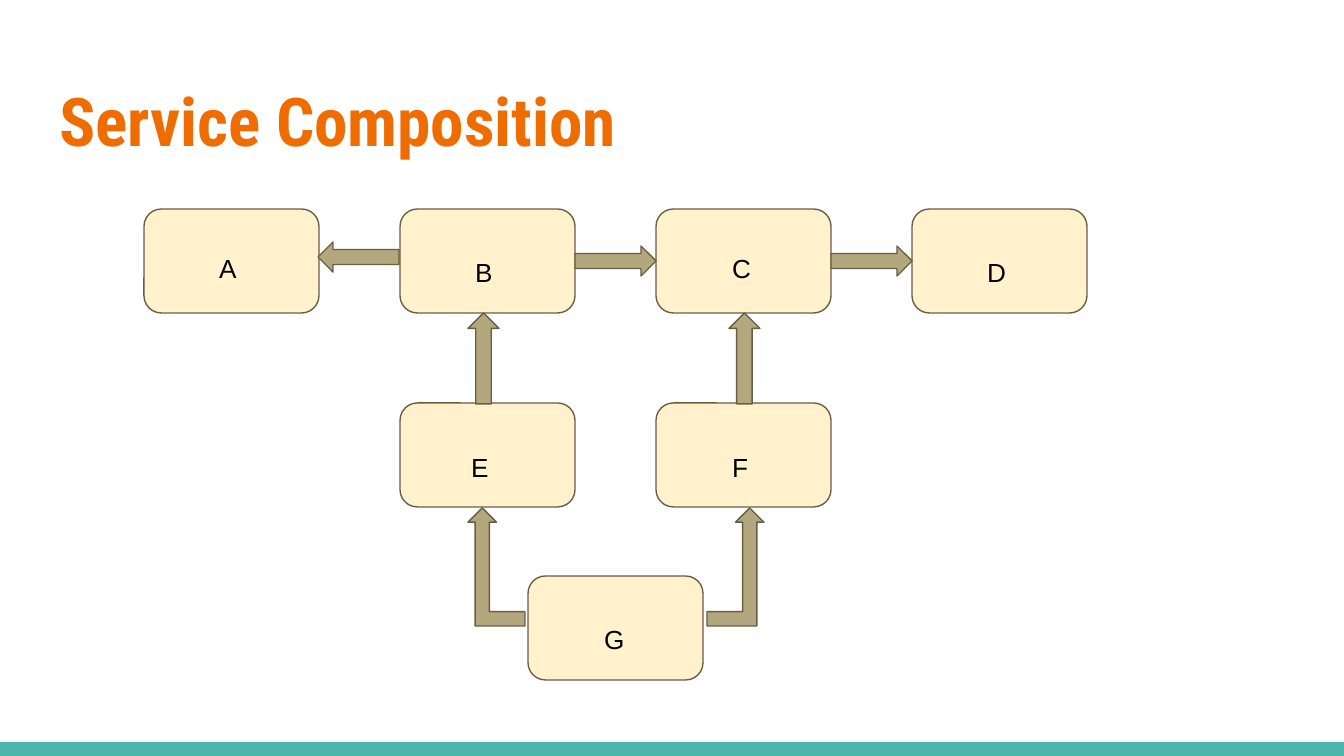
import dataclasses

import pptx
import pptx.dml.color
import pptx.enum.shapes
import pptx.enum.text
import pptx.util

RGB = pptx.dml.color.RGBColor
KIND = pptx.enum.shapes.MSO_SHAPE
ALIGN = pptx.enum.text.PP_ALIGN
ORANGE = RGB(0xEF, 0x6C, 0x00)
TEAL = RGB(0x4D, 0xB6, 0xAC)
CREAM = RGB(0xFF, 0xF2, 0xCC)
KHAKI = RGB(0xB3, 0xA7, 0x7D)
BROWN = RGB(0x69, 0x5D, 0x46)
BLACK = RGB(0, 0, 0)
SCALE = 914400 / 134.4
COLS = [144 + 256 * i for i in range(4)]
ROWS = [209, 403, 576]
MID = (COLS[1] + COLS[2]) // 2
BOX_W, BOX_H = 175, 104


@dataclasses.dataclass
class Node:
    name: str
    left: int
    top: int
    text_x: int
    text_y: int


@dataclasses.dataclass
class Arrow:
    kind: KIND
    left: int
    top: int
    width: int
    height: int
    flip: bool = False


NODES = [
    Node("A", COLS[0], ROWS[0], 206, 239),
    Node("B", COLS[1], ROWS[0], 462, 243),
    Node("C", COLS[2], ROWS[0], 719, 239),
    Node("D", COLS[3], ROWS[0], 974, 243),
    Node("E", COLS[1], ROWS[1], 458, 438),
    Node("F", COLS[2], ROWS[1], 719, 438),
    Node("G", MID, ROWS[2], 591, 610),
]
ARROWS = [
    Arrow(KIND.BENT_UP_ARROW, 707, 508, 57, 118),
    Arrow(KIND.BENT_UP_ARROW, 468, 508, 57, 118, flip=True),
    Arrow(KIND.LEFT_ARROW, 318, 242, 81, 30),
    Arrow(KIND.UP_ARROW, 468, 313, 31, 91),
    Arrow(KIND.UP_ARROW, 729, 313, 31, 91),
    Arrow(KIND.RIGHT_ARROW, 575, 246, 81, 30),
    Arrow(KIND.RIGHT_ARROW, 831, 246, 81, 30),
]


def px(size: float) -> int:
    return round(size * SCALE)


def add_form(slide, kind, left, top, width, height, fill, line=None):
    form = slide.shapes.add_shape(kind, px(left), px(top), px(width), px(height))
    form.shadow.inherit = False
    form.fill.solid()
    form.fill.fore_color.rgb = fill
    if line is None:
        form.line.fill.background()
    else:
        form.line.color.rgb = line
        form.line.width = pptx.util.Pt(0.75)
    return form


def put_text(shape, text: str, *, size: int, font: str, color: RGB, bold: bool = False) -> None:
    frame = shape.text_frame
    frame.word_wrap = True
    frame.auto_size = pptx.enum.text.MSO_AUTO_SIZE.NONE
    frame.vertical_anchor = pptx.enum.text.MSO_ANCHOR.TOP
    frame.margin_left = frame.margin_right = pptx.util.Inches(0.1)
    frame.margin_top = frame.margin_bottom = pptx.util.Inches(0.1)
    para = frame.paragraphs[0]
    para.alignment = ALIGN.LEFT
    run = para.add_run()
    run.text = text
    run.font.size = pptx.util.Pt(size)
    run.font.name = font
    run.font.bold = bold
    run.font.color.rgb = color


def add_arrow(slide, arrow: Arrow) -> None:
    form = add_form(slide, arrow.kind, arrow.left, arrow.top, arrow.width, arrow.height, KHAKI, BROWN)
    if arrow.flip:
        form._element.spPr.xfrm.set("flipH", "1")


def add_label(slide, node: Node) -> None:
    label = slide.shapes.add_textbox(px(node.text_x), px(node.text_y), px(50), px(35))
    put_text(label, node.name, size=14, font="Arial", color=BLACK)


def main() -> None:
    deck = pptx.Presentation()
    deck.slide_width, deck.slide_height = px(1344), px(756)
    slide = deck.slides.add_slide(deck.slide_layouts[5])
    title = slide.shapes.title
    title.left, title.top, title.width, title.height = px(46), px(66), px(1253), px(103)
    put_text(title, "Service Composition", size=36, font="Roboto Condensed", color=ORANGE, bold=True)
    add_form(slide, KIND.RECTANGLE, 0, 742, 1344, 14, TEAL)
    for node in NODES:
        add_form(slide, KIND.ROUNDED_RECTANGLE, node.left, node.top, BOX_W, BOX_H, CREAM, BROWN)
    for arrow in ARROWS:
        add_arrow(slide, arrow)
    for node in NODES:
        add_label(slide, node)
    deck.save("out.pptx")


main()
